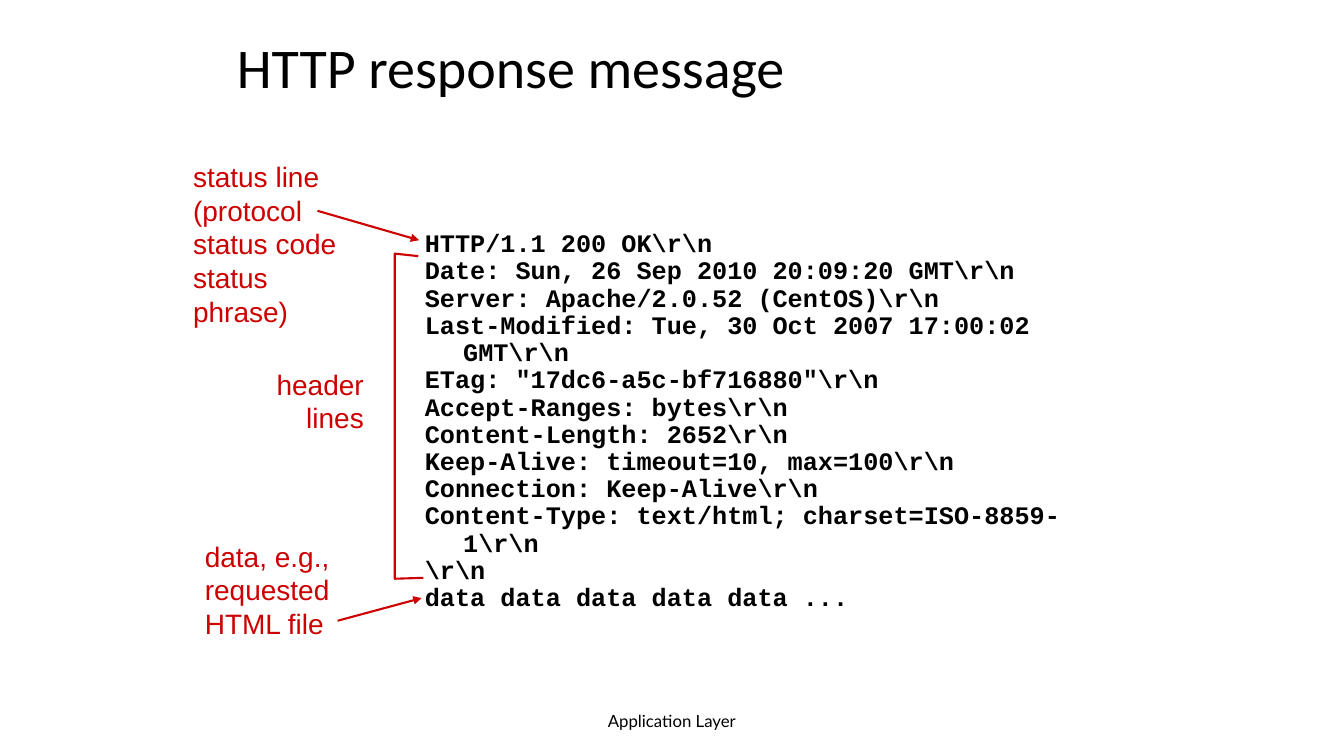
from dataclasses import dataclass

from lxml.etree import SubElement
from pptx import Presentation
from pptx.dml.color import RGBColor
from pptx.enum.shapes import MSO_CONNECTOR as Connector
from pptx.enum.text import MSO_ANCHOR as Anchor, PP_ALIGN as Align
from pptx.oxml.ns import qn
from pptx.util import Inches, Pt


@dataclass(frozen=True)
class Theme:
    ink: RGBColor = RGBColor(0x00, 0x00, 0x00)
    accent: RGBColor = RGBColor(0xCC, 0x00, 0x00)
    title_size: int = 40
    label_size: int = 20
    code_size: int = 18
    footer_size: int = 12
    line_width: float = 1.5


THEME = Theme()
WIDTH, HEIGHT = Inches(13.333), Inches(7.5)
COLUMNS, ROWS = 160, 90

RESPONSE_HEAD = [
    "HTTP/1.1 200 OK",
    "Date: Sun, 26 Sep 2010 20:09:20 GMT",
    "Server: Apache/2.0.52 (CentOS)",
    "Last-Modified: Tue, 30 Oct 2007 17:00:02 GMT",
    'ETag: "17dc6-a5c-bf716880"',
    "Accept-Ranges: bytes",
    "Content-Length: 2652",
    "Keep-Alive: timeout=10, max=100",
    "Connection: Keep-Alive",
    "Content-Type: text/html; charset=ISO-8859-1",
    "",
]
RESPONSE = [line + r"\r\n" for line in RESPONSE_HEAD] + ["data data data data data ..."]


# Grid
def col(count):
    return round(WIDTH * count / COLUMNS)


def row(count):
    return round(HEIGHT * count / ROWS)


def place(shape, left, top, width, height):
    shape.left, shape.top = col(left), row(top)
    shape.width, shape.height = col(width), row(height)


# Text
def write(shape, lines, *, font="Arial", size=THEME.label_size, color=THEME.accent,
          bold=False, align=Align.LEFT, anchor=Anchor.TOP, spacing=1.0, hanging=0):
    frame = shape.text_frame
    frame.word_wrap = True
    frame.vertical_anchor = anchor
    for index, line in enumerate(lines):
        para = frame.add_paragraph() if index else frame.paragraphs[0]
        para.alignment = align
        para.line_spacing = spacing
        para.space_before = Pt(0)
        if hanging:
            properties = para._p.get_or_add_pPr()
            properties.set("marL", str(Inches(hanging)))
            properties.set("indent", str(-Inches(hanging)))
        span = para.add_run()
        span.text = line
        span.font.name, span.font.size = font, Pt(size)
        span.font.bold = bold
        span.font.color.rgb = color


def add_text(page, area, lines, **style):
    box = page.shapes.add_textbox(0, 0, 0, 0)
    place(box, *area)
    write(box, lines, **style)


# Lines
def style_line(line):
    line.color.rgb = THEME.accent
    line.width = Pt(THEME.line_width)


def add_arrow(page, start, end):
    arrow = page.shapes.add_connector(
        Connector.STRAIGHT, col(start[0]), row(start[1]), col(end[0]), row(end[1]))
    style_line(arrow.line)
    SubElement(arrow.line._get_or_add_ln(), qn("a:tailEnd"), type="triangle")
    SubElement(arrow._element.spPr, qn("a:effectLst"))


def add_bracket(page, points):
    corners = [(col(x), row(y)) for x, y in points]
    builder = page.shapes.build_freeform(*corners[0])
    builder.add_line_segments(corners[1:], close=False)
    bracket = builder.convert_to_shape()
    bracket.shadow.inherit = False
    bracket.fill.background()
    style_line(bracket.line)


def main():
    deck = Presentation()
    deck.slide_width, deck.slide_height = WIDTH, HEIGHT
    page = deck.slides.add_slide(deck.slide_layouts[5])

    # Title and footer
    title = page.shapes.title
    place(title, 27, 2, 102, 12.8)
    write(title, ["HTTP response message"], font="Calibri", size=THEME.title_size,
          color=THEME.ink, anchor=Anchor.MIDDLE, spacing=0.9)
    add_text(page, (53, 83.4, 54, 4.8), ["Application Layer"], font="Lato",
             size=THEME.footer_size, color=THEME.ink, align=Align.CENTER,
             anchor=Anchor.MIDDLE)

    # Status line
    add_text(page, (21.8, 18.4, 22.4, 17.2),
             ["status line", "(protocol", "status code", "status phrase)"])
    add_arrow(page, (37.8, 25.1), (49.9, 28.6))

    # Header lines
    add_bracket(page, [(49.8, 30.5), (47, 30.2), (47, 68.9), (50.4, 68.8)])
    add_text(page, (30.5, 43.1, 14, 9.2), ["header", "lines"], align=Align.RIGHT)

    # Data
    add_arrow(page, (40.2, 73.9), (50.2, 71.2))
    add_text(page, (23.2, 63.6, 19, 13.2), ["data, e.g.,", "requested", "HTML file"])

    # Response message
    add_text(page, (49.4, 26.9, 82.8, 46.7), RESPONSE, font="Courier New",
             size=THEME.code_size, color=THEME.ink, bold=True, spacing=0.9,
             hanging=0.38)

    deck.save("out.pptx")


if __name__ == "__main__":
    main()
